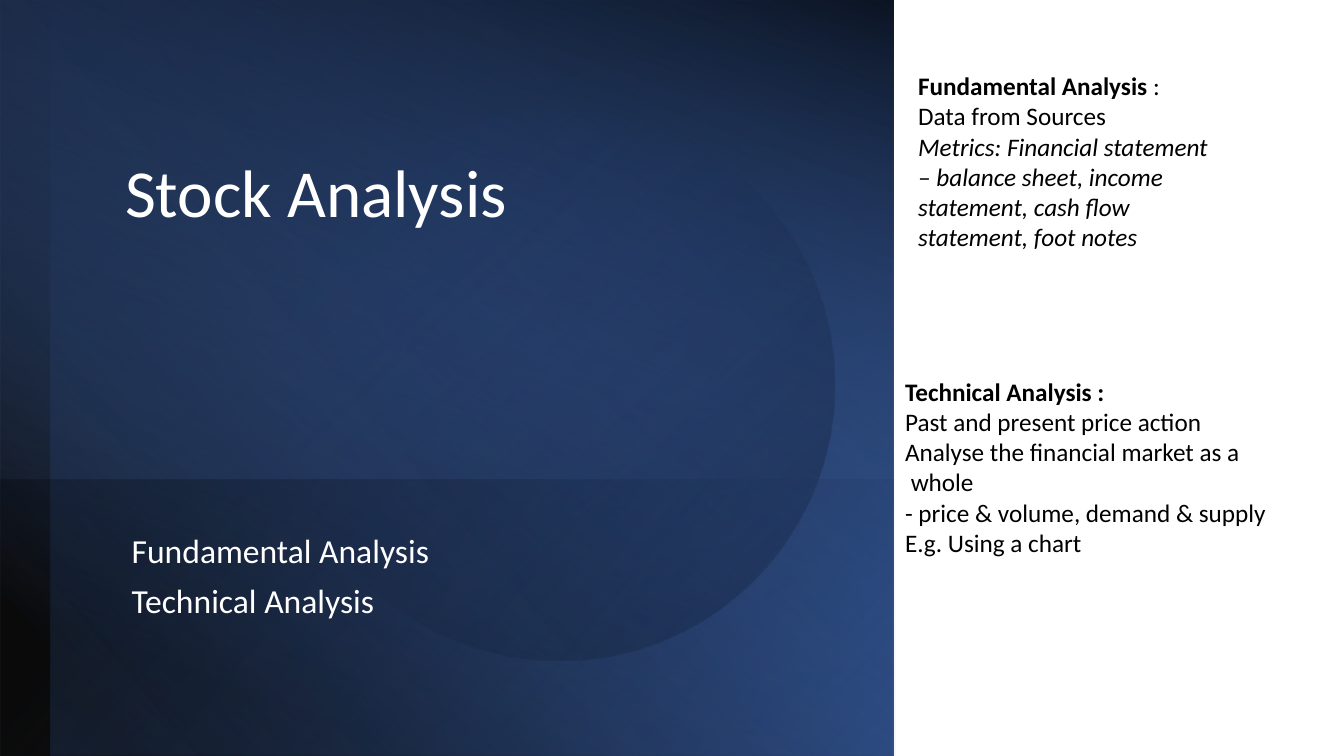
"""Build the stock analysis slide with a layered gradient panel and notes beside it."""
from dataclasses import dataclass

from lxml import etree
from pptx import Presentation
from pptx.dml.color import RGBColor
from pptx.enum.shapes import MSO_SHAPE
from pptx.enum.text import MSO_ANCHOR, MSO_AUTO_SIZE, PP_ALIGN
from pptx.oxml.ns import qn
from pptx.shapes.autoshape import Shape
from pptx.slide import Slide
from pptx.text.text import TextFrame
from pptx.util import Cm, Pt

RECTANGLE = MSO_SHAPE.RECTANGLE
OVAL = MSO_SHAPE.OVAL
TOP = MSO_ANCHOR.TOP
BOTTOM = MSO_ANCHOR.BOTTOM
LEFT = PP_ALIGN.LEFT
NO_AUTOFIT = MSO_AUTO_SIZE.NONE
GROW = MSO_AUTO_SIZE.SHAPE_TO_FIT_TEXT
TITLE_ONLY = 5


@dataclass(frozen=True)
class Theme:
    font: str = "Calibri"
    black: str = "000000"
    white: str = "FFFFFF"
    blue: str = "4472C4"
    mid_blue: str = "2F5597"
    navy: str = "203864"
    title_size: int = 48
    subtitle_size: int = 24
    note_size: int = 18


THEME = Theme()


@dataclass(frozen=True)
class Box:
    left: float
    top: float
    width: float
    height: float

    def lengths(self) -> tuple[Cm, Cm, Cm, Cm]:
        return Cm(self.left), Cm(self.top), Cm(self.width), Cm(self.height)


@dataclass(frozen=True)
class Stop:
    position: int
    color: str
    opacity: int = 100


@dataclass(frozen=True)
class Panel:
    box: Box
    rotation: float
    angle: int
    stops: tuple[Stop, ...]
    geometry: MSO_SHAPE = RECTANGLE
    flipped: bool = True


@dataclass(frozen=True)
class Span:
    text: str
    bold: bool = False
    italic: bool = False
    starts_line: bool = False


@dataclass(frozen=True)
class TextStyle:
    size: int
    color: str
    line_spacing: float = 1.0
    space_before: int = 0


@dataclass(frozen=True)
class TextBlock:
    box: Box
    style: TextStyle
    paragraphs: tuple[tuple[Span, ...], ...]
    wraps: bool = True
    auto_size: MSO_AUTO_SIZE = GROW


PANELS = (
    Panel(Box(0, 0, 22.53, 19.05), 180, 40,
          (Stop(8, THEME.black, 94), Stop(100, THEME.blue))),
    Panel(Box(2.39, -1.12, 19.05, 21.29), 270, 140,
          (Stop(0, THEME.blue, 23), Stop(71, THEME.navy, 0), Stop(100, THEME.black, 0))),
    Panel(Box(-0.03, 0, 22.56, 19.05), 180, 70,
          (Stop(14, THEME.blue, 0), Stop(100, THEME.black, 82))),
    Panel(Box(7.14, 2.74, 13.89, 13.89), 257.5, 150,
          (Stop(17, THEME.mid_blue, 0), Stop(82, THEME.black, 24)), OVAL, False),
    Panel(Box(-0.03, 12.09, 22.56, 6.96), 180, 140,
          (Stop(0, THEME.mid_blue, 33), Stop(83, THEME.black, 21))),
)

TITLE_BOX = Box(2.9, 1.65, 16.92, 8.05)
TITLE_BOTTOM_MARGIN = 3.85
TITLE_STYLE = TextStyle(THEME.title_size, THEME.white, 0.9)
SUBTITLE_STYLE = TextStyle(THEME.subtitle_size, THEME.white, 0.9, 10)
NOTE_STYLE = TextStyle(THEME.note_size, THEME.black)

TEXT_BLOCKS = (
    TextBlock(Box(3.07, 13.34, 14.38, 3.33), SUBTITLE_STYLE, (
        (Span("Fundamental Analysis"),),
        (Span("Technical Analysis"),),
    ), auto_size=NO_AUTOFIT),
    TextBlock(Box(22.89, 1.65, 7.9, 5.64), NOTE_STYLE, (
        (Span("Fundamental Analysis ", bold=True), Span(":"),
         Span("Data from Sources", starts_line=True)),
        (Span("Metrics: Financial statement – balance sheet, income statement, "
              "cash flow statement, foot notes", italic=True),),
    )),
    TextBlock(Box(22.56, 9.35, 9.73, 4.88), NOTE_STYLE, (
        (Span("Technical Analysis :", bold=True),),
        (Span("Past and present price action"),),
        (Span("Analyse the financial market as a"),),
        (Span(" whole"),),
        (Span("- price & volume, demand & supply"),),
        (Span("E.g. Using a chart"),),
    ), wraps=False),
)


def fill_gradient(shape: Shape, panel: Panel) -> None:
    shape.fill.gradient()
    gradient = shape.element.spPr.find(qn("a:gradFill"))
    stop_list = gradient.find(qn("a:gsLst"))
    stop_list.clear()
    for stop in panel.stops:
        entry = etree.SubElement(stop_list, qn("a:gs"), pos=str(stop.position * 1000))
        color = etree.SubElement(entry, qn("a:srgbClr"), val=stop.color)
        etree.SubElement(color, qn("a:alpha"), val=str(stop.opacity * 1000))
    gradient.find(qn("a:lin")).set("ang", str(panel.angle * 60000))


def add_panel(slide: Slide, panel: Panel) -> None:
    shape = slide.shapes.add_shape(panel.geometry, *panel.box.lengths())
    shape.shadow.inherit = False
    shape.rotation = panel.rotation
    if panel.flipped:
        shape.element.spPr.find(qn("a:xfrm")).set("flipH", "1")
    fill_gradient(shape, panel)
    shape.line.fill.background()


def write_text(frame: TextFrame, style: TextStyle,
               paragraphs: tuple[tuple[Span, ...], ...]) -> None:
    for index, spans in enumerate(paragraphs):
        paragraph = frame.add_paragraph() if index else frame.paragraphs[0]
        paragraph.alignment = LEFT
        paragraph.line_spacing = style.line_spacing
        paragraph.space_before = Pt(style.space_before)
        for span in spans:
            if span.starts_line:
                paragraph.add_line_break()
            run = paragraph.add_run()
            run.text = span.text
            run.font.name = THEME.font
            run.font.size = Pt(style.size)
            run.font.bold = span.bold
            run.font.italic = span.italic
            run.font.color.rgb = RGBColor.from_string(style.color)


def place_title(slide: Slide) -> None:
    title = slide.shapes.title
    title.left, title.top, title.width, title.height = TITLE_BOX.lengths()
    frame = title.text_frame
    frame.auto_size = NO_AUTOFIT
    frame.word_wrap = True
    frame.vertical_anchor = BOTTOM
    frame.margin_bottom = Cm(TITLE_BOTTOM_MARGIN)
    write_text(frame, TITLE_STYLE, ((Span("Stock Analysis"),),))
    title.element.getparent().append(title.element)


def add_text_block(slide: Slide, block: TextBlock) -> None:
    frame = slide.shapes.add_textbox(*block.box.lengths()).text_frame
    frame.word_wrap = block.wraps
    frame.auto_size = block.auto_size
    frame.vertical_anchor = TOP
    write_text(frame, block.style, block.paragraphs)


def main() -> None:
    presentation = Presentation()
    presentation.slide_width = Cm(33.87)
    presentation.slide_height = Cm(19.05)
    slide = presentation.slides.add_slide(presentation.slide_layouts[TITLE_ONLY])
    for panel in PANELS:
        add_panel(slide, panel)
    place_title(slide)
    for block in TEXT_BLOCKS:
        add_text_block(slide, block)
    presentation.save("out.pptx")


if __name__ == "__main__":
    main()
